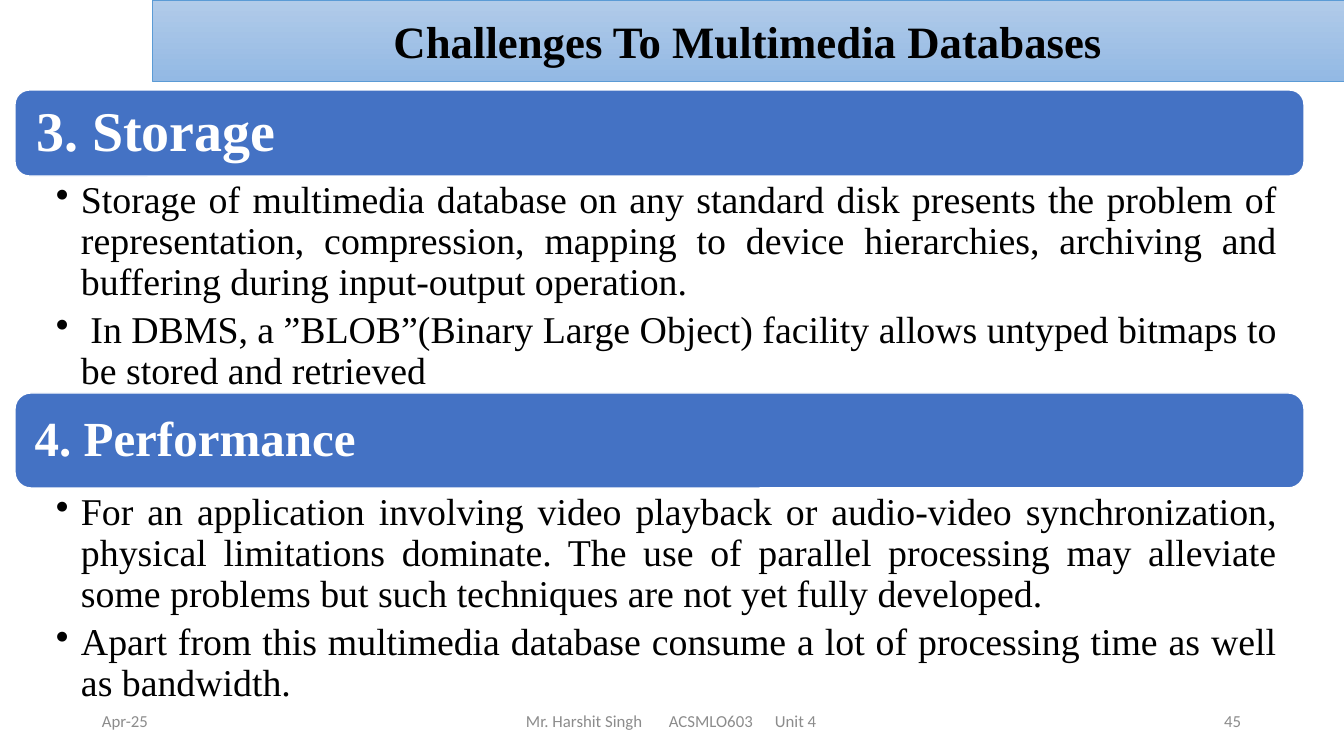
import pptx
import pptx.dml.color
import pptx.enum.shapes
import pptx.enum.text
import pptx.oxml.ns
import pptx.util
from lxml import etree

EMU_PER_PX = 914400 / 100.8
ALIGN = pptx.enum.text.PP_ALIGN
MIDDLE = pptx.enum.text.MSO_ANCHOR.MIDDLE

# Theme: colours, fonts and type sizes
THEME = {
    "serif": "Times New Roman", "sans": "Calibri",
    "black": "000000", "white": "FFFFFF", "grey": "8C8C8C",
    "bar": "4472C4", "title_line": "5B9BD5",
    "title_top": "B1CBE9", "title_bottom": "93B9E4",
    "title_size": 32, "body_size": 27, "footer_size": 12,
}


def px(length):
    return pptx.util.Emu(round(length * EMU_PER_PX))


def style(para, face, size, color, align, bold=False):
    para.alignment = align
    para.font.name = THEME[face]
    para.font.size = pptx.util.Pt(size)
    para.font.bold = bold
    para.font.color.rgb = pptx.dml.color.RGBColor.from_string(THEME[color])


deck = pptx.Presentation()
deck.slide_width, deck.slide_height = px(1344), px(756)
page = deck.slides.add_slide(deck.slide_layouts[5])

# Title band
title = page.shapes.title
title.left, title.top, title.width, title.height = px(152), px(0), px(1192), px(81)
title.fill.gradient()
title.fill.gradient_angle = 270
for stop, name in zip(title.fill.gradient_stops, ("title_top", "title_bottom")):
    stop.color.rgb = pptx.dml.color.RGBColor.from_string(THEME[name])
title.line.color.rgb = pptx.dml.color.RGBColor.from_string(THEME["title_line"])
title.line.width = pptx.util.Pt(0.5)
title.text_frame.text = "Challenges To Multimedia Databases"
title.text_frame.vertical_anchor = MIDDLE
style(title.text_frame.paragraphs[0], "serif", THEME["title_size"], "black", ALIGN.CENTER, True)

# Sections: heading, type size, inset, bar top and height, body height, bullets
SECTIONS = [
    ("3. Storage", 40, 17, 90, 86, 218, [
        "Storage of multimedia database on any standard disk presents the problem of "
        "representation, compression, mapping to device hierarchies, archiving and "
        "buffering during input-output operation.",
        " In DBMS, a ”BLOB”(Binary Large Object) facility allows untyped bitmaps "
        "to be stored and retrieved",
    ]),
    ("4. Performance", 35, 15, 393, 95, 255, [
        "For an application involving video playback or audio-video synchronization, "
        "physical limitations dominate. The use of parallel processing may alleviate "
        "some problems but such techniques are not yet fully developed. ",
        "Apart from this multimedia database consume a lot of processing time as well "
        "as bandwidth.",
    ]),
]
LEFT, WIDTH = 15, 1289
for heading, size, inset, top, height, body_height, bullets in SECTIONS:
    # Heading bar
    bar = page.shapes.add_shape(pptx.enum.shapes.MSO_SHAPE.ROUNDED_RECTANGLE,
                                px(LEFT), px(top), px(WIDTH), px(height))
    bar.shadow.inherit = False
    bar.fill.solid()
    bar.fill.fore_color.rgb = pptx.dml.color.RGBColor.from_string(THEME["bar"])
    bar.line.color.rgb = pptx.dml.color.RGBColor.from_string(THEME["white"])
    bar.line.width = pptx.util.Pt(1)
    frame = bar.text_frame
    frame.margin_left = frame.margin_right = px(inset)
    frame.margin_top = frame.margin_bottom = 0
    frame.vertical_anchor = MIDDLE
    frame.text = heading
    frame.paragraphs[0].line_spacing = 0.9
    style(frame.paragraphs[0], "serif", size, "white", ALIGN.JUSTIFY, True)

    # Bulleted body
    body = page.shapes.add_textbox(px(LEFT), px(top + height), px(WIDTH), px(body_height))
    frame = body.text_frame
    frame.word_wrap = True
    frame.margin_left, frame.margin_right = px(41), px(27)
    frame.margin_top = frame.margin_bottom = px(5)
    frame.text = "\n".join(bullets)
    for para in frame.paragraphs:
        para.line_spacing = 0.9
        para.space_after = pptx.util.Pt(5.4)
        props = para._p.get_or_add_pPr()
        props.set("marL", str(px(25)))
        props.set("indent", str(px(-25)))
        etree.SubElement(props, pptx.oxml.ns.qn("a:buChar")).set("char", "•")
        style(para, "serif", THEME["body_size"], "black", ALIGN.JUSTIFY)

# Footer: text, left, width, left inset, alignment, tab stops
FOOTERS = [
    ("Apr-25", 92, 302, 10, ALIGN.LEFT, []),
    ("Mr. Harshit Singh\tACSMLO603\tUnit 4", 446, 454, 80, ALIGN.LEFT, [143, 249]),
    ("45", 949, 302, 10, ALIGN.RIGHT, []),
]
for text, left, width, inset, align, stops in FOOTERS:
    footer = page.shapes.add_textbox(px(left), px(701), px(width), px(40))
    frame = footer.text_frame
    frame.word_wrap = True
    frame.margin_left = px(inset)
    frame.vertical_anchor = MIDDLE
    frame.text = text
    para = frame.paragraphs[0]
    if stops:
        tabs = etree.SubElement(para._p.get_or_add_pPr(), pptx.oxml.ns.qn("a:tabLst"))
        for stop in stops:
            etree.SubElement(tabs, pptx.oxml.ns.qn("a:tab"), pos=str(px(stop)), algn="l")
    style(para, "sans", THEME["footer_size"], "grey", align)

deck.save("out.pptx")
